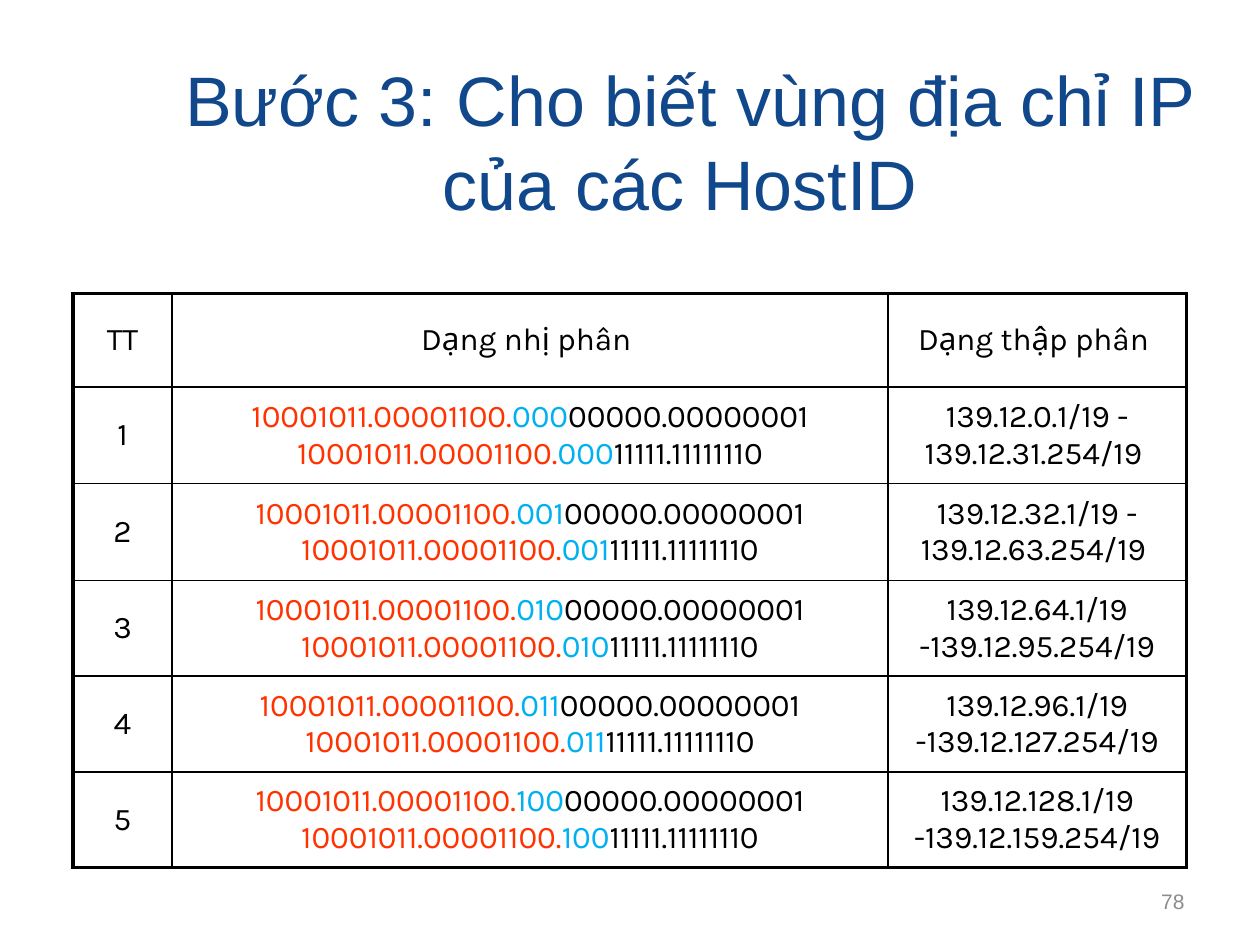
from lxml.etree import SubElement
from pptx import Presentation
from pptx.dml.color import RGBColor
from pptx.enum.text import MSO_ANCHOR as Anchor, PP_ALIGN as Align
from pptx.oxml.ns import qn
from pptx.util import Cm, Pt

COLORS = {
    "title": "11478B",
    "network": "FF3300",
    "subnet": "00B0F0",
    "text": "000000",
    "border": "000000",
    "number": "8C8C8C",
}
TITLE = "Bước 3: Cho biết vùng địa chỉ IP của các HostID "
PAGE_NUMBER = "78"
HEADINGS = ["TT", "Dạng nhị phân ", "Dạng thập phân "]
NETWORK = "10001011.00001100."
FIRST_HOST, LAST_HOST = "00000.00000001", "11111.11111110"
# Subnet bits, then the paragraphs of the decimal range
SUBNETS = [
    ("000", ["139.12.0.1/19 -", "139.12.31.254/19 "]),
    ("001", ["139.12.32.1/19 -", "139.12.63.254/19 "]),
    ("010", ["139.12.64.1/19 -139.12.95.254/19"]),
    ("011", ["139.12.96.1/19 -139.12.127.254/19"]),
    ("100", ["139.12.128.1/19 -139.12.159.254/19"]),
]
COLUMN_WIDTHS = [2.0, 14.43, 6.02]
ROW_HEIGHTS = [1.88, 1.95, 1.95, 1.93, 1.93, 1.93]
OUTER, INNER = 2.25, 1


def add_run(paragraph, text, font, size, color):
    run = paragraph.add_run()
    run.text = text
    run.font.name = font
    run.font.size = Pt(size)
    run.font.color.rgb = RGBColor.from_string(COLORS[color])


def add_label(slide, box, text, size, color, align):
    frame = slide.shapes.add_textbox(*map(Cm, box)).text_frame
    frame.word_wrap = True
    frame.vertical_anchor = Anchor.MIDDLE
    paragraph = frame.paragraphs[0]
    paragraph.alignment = align
    add_run(paragraph, text, "Arial", size, color)


def set_borders(cell, widths):
    """Draw the left, right, top and bottom borders, with widths in points."""
    properties = cell._tc.get_or_add_tcPr()
    for position, (side, width) in enumerate(zip("LRTB", widths)):
        line = SubElement(properties, qn(f"a:ln{side}"), w=str(Pt(width)))
        fill = SubElement(line, qn("a:solidFill"))
        SubElement(fill, qn("a:srgbClr"), val=COLORS["border"])
        properties.insert(position, line)


def fill_cell(cell, paragraphs):
    """Write paragraphs, each a list of (text, color) pairs."""
    cell.vertical_anchor = Anchor.MIDDLE
    cell.fill.background()
    frame = cell.text_frame
    for index, parts in enumerate(paragraphs):
        paragraph = frame.add_paragraph() if index else frame.paragraphs[0]
        paragraph.alignment = Align.CENTER
        for text, color in parts:
            add_run(paragraph, text, "Karla", 18, color)


def plain(*lines):
    return [[(line, "text")] for line in lines]


def table_rows():
    yield [plain(heading) for heading in HEADINGS]
    for number, (bits, decimal_range) in enumerate(SUBNETS, 1):
        binary_range = [
            [(NETWORK, "network"), (bits, "subnet"), (host, "text")]
            for host in (FIRST_HOST, LAST_HOST)
        ]
        yield [plain(str(number)), binary_range, plain(*decimal_range)]


def add_subnet_table(slide):
    row_count, column_count = len(ROW_HEIGHTS), len(COLUMN_WIDTHS)
    table = slide.shapes.add_table(
        row_count, column_count, Cm(1.47), Cm(5.92),
        Cm(sum(COLUMN_WIDTHS)), Cm(sum(ROW_HEIGHTS)),
    ).table
    table.first_row = table.horz_banding = False
    for column, width in zip(table.columns, COLUMN_WIDTHS):
        column.width = Cm(width)
    for row, height in zip(table.rows, ROW_HEIGHTS):
        row.height = Cm(height)
    for r, contents in enumerate(table_rows()):
        for c, paragraphs in enumerate(contents):
            cell = table.cell(r, c)
            fill_cell(cell, paragraphs)
            on_edge = (c == 0, c == column_count - 1, r == 0, r == row_count - 1)
            set_borders(cell, [OUTER if edge else INNER for edge in on_edge])


def main():
    deck = Presentation()
    deck.slide_width, deck.slide_height = Cm(25.4), Cm(19.05)
    slide = deck.slides.add_slide(deck.slide_layouts[6])
    add_label(slide, (2.97, 0.81, 21.87, 4.06), TITLE, 40, "title", Align.CENTER)
    add_subnet_table(slide)
    add_label(slide, (18.21, 17.65, 5.92, 1.02), PAGE_NUMBER, 12, "number", Align.RIGHT)
    deck.save("out.pptx")


if __name__ == "__main__":
    main()
